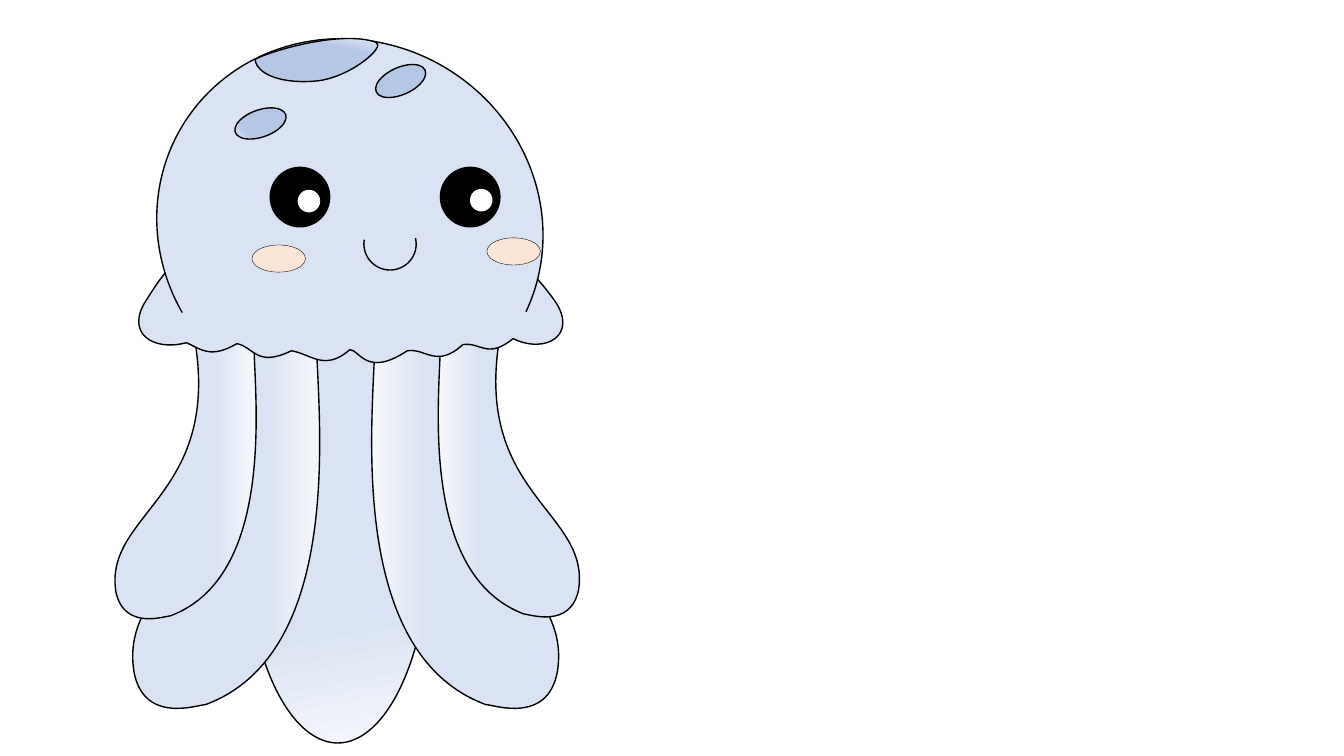
import math
from dataclasses import dataclass
from typing import Optional, Union

from pptx import Presentation
from pptx import util as u
from pptx import oxml
from pptx.dml.color import RGBColor
from pptx.enum import shapes as kinds
from pptx.oxml import ns

BLACK = RGBColor(0x00, 0x00, 0x00)
WHITE = RGBColor(0xFF, 0xFF, 0xFF)
PALE = RGBColor(0xF6, 0xF8, 0xFC)
SKIN = RGBColor(0xDA, 0xE3, 0xF3)
SPOT = RGBColor(0xB4, 0xC7, 0xE7)
BLUSH = RGBColor(0xFB, 0xE5, 0xD6)
KIND = kinds.MSO_SHAPE
CURVE = '<a:cubicBezTo %s/>' % ns.nsdecls("a")


@dataclass
class Fade:
    color: RGBColor
    angle: float  # clockwise degrees


@dataclass
class Look:
    fill: Optional[Union[RGBColor, Fade]] = None
    line: Optional[RGBColor] = BLACK
    weight: float = 1


@dataclass
class Part:
    left: float
    top: float
    width: float
    height: float
    look: Look
    turn: float = 0
    kind: KIND = KIND.OVAL
    ends: tuple = ()


@dataclass
class Outline:
    box: tuple  # left, top, width, height before turning
    start: tuple
    moves: list  # a line's end, or two control points and a curve's end
    look: Look
    turn: float = 0
    mirror: Optional[tuple] = None  # left and top of a flipped twin


def paint(shape, look: Look) -> None:
    shape.shadow.inherit = False
    if isinstance(look.fill, Fade):
        shape.fill.gradient()
        shape.fill.gradient_angle = (360 - look.fill.angle) % 360
        stops = shape.fill.gradient_stops
        for stop, place, color in zip(stops, (0, 0.29), (PALE, look.fill.color)):
            stop.position = place
            stop.color.rgb = color
    elif look.fill is None:
        shape.fill.background()
    else:
        shape.fill.solid()
        shape.fill.fore_color.rgb = look.fill
    if look.line is None:
        shape.line.fill.background()
    else:
        shape.line.color.rgb = look.line
        shape.line.width = u.Pt(look.weight)


def draw_part(group, part: Part) -> None:
    box = (u.Pt(v) for v in (part.left, part.top, part.width, part.height))
    shape = group.shapes.add_shape(part.kind, *box)
    for index, end in enumerate(part.ends):
        shape.adjustments[index] = end
    shape.rotation = part.turn
    paint(shape, part.look)


def unturn(outline: Outline) -> list:
    """All points, turned back about the box centre to suit the shape's own turn."""
    flat = [*outline.start, *(v for move in outline.moves for v in move)]
    left, top, width, height = outline.box
    ox, oy = left + width / 2, top + height / 2
    angle = math.radians(-outline.turn)
    cos, sin = math.cos(angle), math.sin(angle)
    return [(u.Pt(ox + (x - ox) * cos - (y - oy) * sin),
             u.Pt(oy + (x - ox) * sin + (y - oy) * cos))
            for x, y in zip(flat[::2], flat[1::2])]


def bend(shape, outline: Outline) -> None:
    """Turn straight steps into curves and fit the frame to the box."""
    left, top, width, height = (u.Pt(v) for v in outline.box)
    trail = next(shape.element.iter(ns.qn("a:path")))
    for point in trail.iter(ns.qn("a:pt")):
        point.set("x", str(int(point.get("x")) + shape.left - left))
        point.set("y", str(int(point.get("y")) + shape.top - top))
    trail.set("w", str(width))
    trail.set("h", str(height))
    shape.left, shape.top, shape.width, shape.height = left, top, width, height
    steps = iter(trail.findall(ns.qn("a:lnTo")))
    for move in outline.moves:
        lines = [next(steps) for _ in range(len(move) // 2)]
        if len(lines) == 3:
            curve = oxml.parse_xml(CURVE)
            lines[0].addprevious(curve)
            for line in lines:
                curve.append(line[0])
                trail.remove(line)


def draw_outline(group, outline: Outline) -> None:
    points = unturn(outline)
    for place in (None, outline.mirror) if outline.mirror else (None,):
        pen = group.shapes.build_freeform(*points[0])
        pen.add_line_segments(points[1:], close=True)
        shape = pen.convert_to_shape()
        bend(shape, outline)
        shape.rotation = outline.turn
        paint(shape, outline.look)
        if place:
            shape.left, shape.top = (u.Pt(v) for v in place)
            shape.element.spPr.find(ns.qn("a:xfrm")).set("flipH", "1")


LIMB = Look(Fade(SKIN, 180))
EYE = Look(BLACK)
GLINT = Look(WHITE, WHITE)
CHEEK = Look(BLUSH, BLACK, 0.25)

BODY = [
    # Tentacles
    Part(175, 229.7, 132.5, 301, Look(Fade(SKIN, 260))),
    Outline((95, 237.6, 133.9, 268.6), (170.6, 246.2), [
        (170.6, 241.2, 174.2, 237.6, 180, 237.6),
        (216.7, 237.6),
        (221.8, 237.6, 226.1, 241.2, 226.1, 246.2),
        (227.5, 299.5, 246.2, 466.6, 146.9, 503.3),
        (141.8, 503.3, 103, 517.7, 95.8, 480.2),
        (83.5, 406.8, 192.2, 390.2, 170.6, 246.2),
    ], LIMB, mirror=(265, 237.6)),
    Outline((82.1, 239.8, 100.8, 202.3), (139.7, 246.2), [
        (139.7, 242.6, 142.6, 239.8, 146.2, 239.8),
        (174.2, 239.8),
        (178.6, 239.8, 181.4, 242.6, 181.4, 246.2),
        (182.2, 285.8, 196.6, 411.8, 121.7, 439.9),
        (118.1, 439.9, 88.6, 450.7, 82.8, 422.6),
        (74.2, 367.2, 156.2, 355, 139.7, 246.2),
    ], LIMB, mirror=(313.2, 238.5)),
    # Frill and dome
    Outline((196.6, 53.3, 108, 303.1), (244.8, 151.2), [
        (347.8, 152.6, 378.7, 190.8, 396, 214.6),
        (413.3, 239, 390.2, 253.4, 366.5, 241.9),
        (347.8, 257, 343.4, 244.1, 330.5, 246.2),
        (311.8, 263.5, 303.8, 248.4, 290.9, 250.6),
        (261.4, 270, 257, 249.8, 249.8, 249.8),
        (231.8, 265.7, 221.8, 252.7, 208.1, 250.6),
        (182.9, 262.8, 181.4, 247.7, 169.2, 245.5),
        (150.5, 256.3, 144, 249.8, 133.2, 244.8),
        (108.7, 251.3, 89.3, 237.6, 104.4, 214.6),
        (118.8, 192.2, 141.8, 149.8, 244.8, 151.2),
    ], Look(SKIN), 90),
    Part(131, 146.2, 244.8, 77.8, Look(SKIN, None), kind=KIND.RECTANGLE),
    Part(117.4, 22.3, 265, 279.4, Look(SKIN), 299.9, KIND.ARC, (127.798, 51.542)),
    # Spots
    Outline((182.2, 29.5, 88.6, 27.4), (182.2, 42.5), [
        (188.6, 38.2, 241.9, 20.9, 268.6, 30.2),
        (275.8, 33.1, 252, 54, 228.2, 57.6),
        (203.8, 60.5, 183.6, 54, 182.2, 42.5),
    ], Look(Fade(SPOT, 110)), 352.1),
    Part(167, 78.5, 38.2, 19.4, Look(Fade(SPOT, 340)), 340.6),
    Part(267.1, 48.2, 38.2, 19.4, Look(Fade(SPOT, 260)), 335.9),
    # Face
    Part(259.9, 155.5, 37.4, 37.4, Look(), 149, KIND.ARC, (118.995, 24.02)),
    Part(193, 119.5, 42.5, 42.5, EYE),
    Part(213.1, 136.1, 15.1, 15.1, GLINT),
    Part(314.6, 119.5, 42.5, 42.5, EYE),
    Part(336.2, 135.4, 15.1, 15.1, GLINT),
    Part(180, 175, 38.2, 19.4, CHEEK),
    Part(347.8, 169.9, 38.2, 19.4, CHEEK),
]


def main() -> None:
    deck = Presentation()
    deck.slide_width, deck.slide_height = u.Pt(960), u.Pt(540)
    slide = deck.slides.add_slide(deck.slide_layouts[6])
    group = slide.shapes.add_group_shape()
    for item in BODY:
        if isinstance(item, Part):
            draw_part(group, item)
        else:
            draw_outline(group, item)
    deck.save("out.pptx")


if __name__ == "__main__":
    main()
